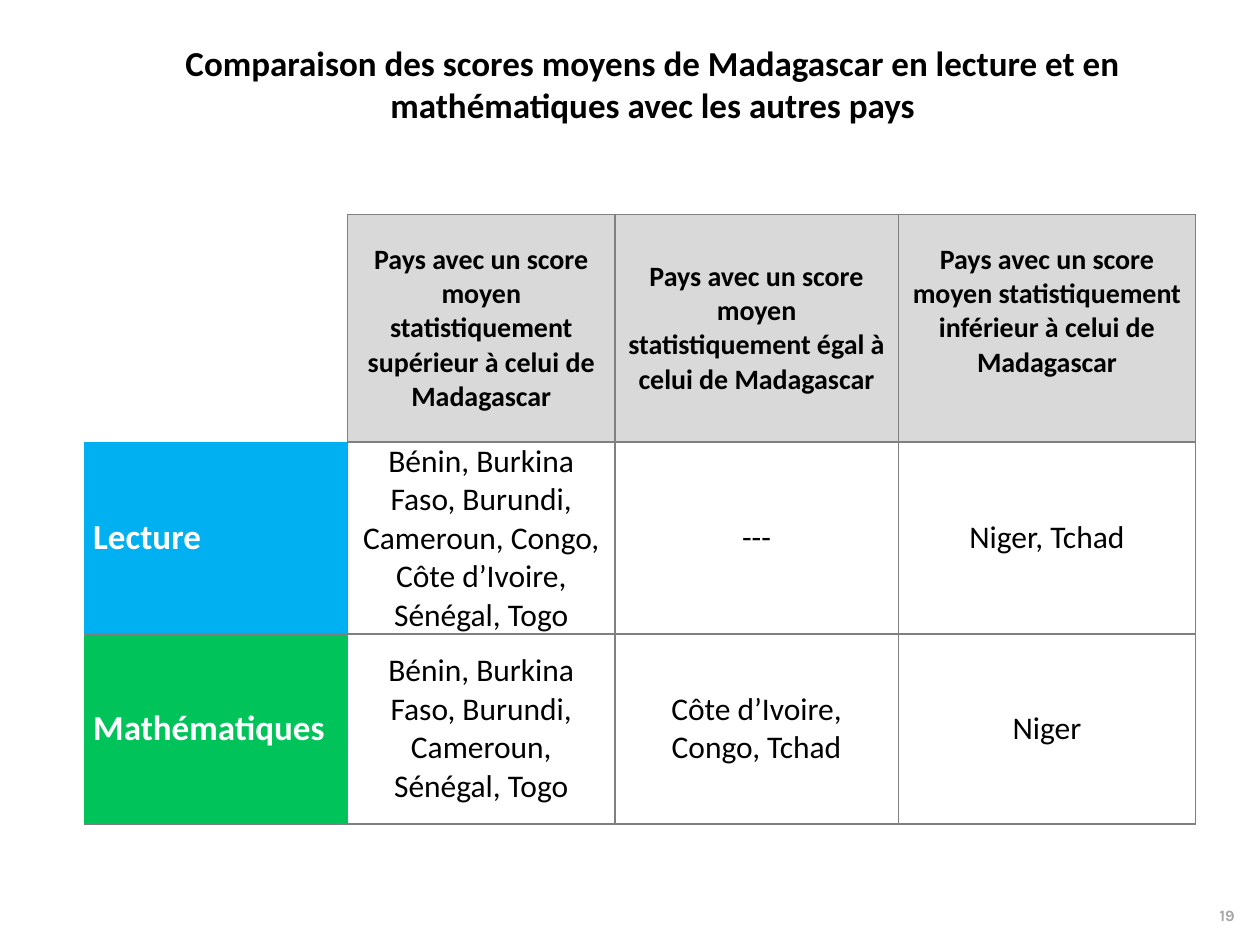
from lxml.etree import SubElement
from pptx import Presentation
from pptx.dml.color import RGBColor
from pptx.enum.text import MSO_ANCHOR, PP_ALIGN
from pptx.oxml import parse_xml
from pptx.oxml.ns import nsdecls, qn
from pptx.util import Inches, Pt

PLAIN_STYLE = "{2D5ABB26-0587-4C30-8999-92F81FD0307C}"
BLACK, WHITE, GRAY = "000000", "FFFFFF", "808080"
HEADER_FILL = "D9D9D9"
COLUMN_SHARES = [20.9, 21.2, 22.5, 23.6]
ROW_SHARES = [24.13, 20.27, 20.13]
HEADERS = [
    "Pays avec un score moyen statistiquement supérieur à celui de Madagascar",
    "Pays avec un score moyen statistiquement égal à celui de Madagascar",
    "Pays avec un score moyen statistiquement inférieur à celui de Madagascar",
]
SUBJECTS = [
    ("Lecture", "00B0F0", [
        "Bénin, Burkina Faso, Burundi, Cameroun, Congo, Côte d’Ivoire, Sénégal, Togo",
        "---",
        "Niger, Tchad",
    ]),
    ("Mathématiques", "00C459", [
        "Bénin, Burkina Faso, Burundi, Cameroun, Sénégal, Togo",
        "Côte d’Ivoire, Congo, Tchad",
        "Niger",
    ]),
]


def color(value):
    return RGBColor.from_string(value)


class SlideBuilder:
    font = "Calibri"

    def __init__(self, presentation):
        self.width = presentation.slide_width
        self.height = presentation.slide_height
        self.slide = presentation.slides.add_slide(presentation.slide_layouts[5])

    def across(self, percent):
        return round(self.width * percent / 100)

    def down(self, percent):
        return round(self.height * percent / 100)

    def box(self, left, top, width, height):
        return self.across(left), self.down(top), self.across(width), self.down(height)

    def add_text(self, frame, text, size, ink=BLACK, bold=True,
                 align=PP_ALIGN.CENTER, font=None):
        paragraph = frame.paragraphs[0]
        paragraph.alignment = align
        run = paragraph.add_run()
        run.text = text
        run.font.name = font or self.font
        run.font.size = Pt(size)
        run.font.bold = bold
        run.font.color.rgb = color(ink)

    def title(self, text, *place):
        shape = self.slide.shapes.title
        shape.left, shape.top, shape.width, shape.height = self.box(*place)
        shape.text_frame.vertical_anchor = MSO_ANCHOR.MIDDLE
        self.add_text(shape.text_frame, text, 20)

    def page_number(self, text, *place):
        frame = self.slide.shapes.add_textbox(*self.box(*place)).text_frame
        frame.word_wrap = True
        frame.vertical_anchor = MSO_ANCHOR.MIDDLE
        self.add_text(frame, text, 9, "A6A6A6", font="Karla")

    def table(self, left, top, columns, rows):
        place = self.box(left, top, sum(columns), sum(rows))
        table = self.slide.shapes.add_table(len(rows), len(columns), *place).table
        table.first_row = table.horz_banding = False
        table._tbl.tblPr.find(qn("a:tableStyleId")).text = PLAIN_STYLE
        for column, share in zip(table.columns, columns):
            column.width = self.across(share)
        for row, share in zip(table.rows, rows):
            row.height = self.down(share)
        return table

    def cell(self, cell, text, size, sides="LRTB", fill=None, **style):
        cell.margin_left = cell.margin_right = Inches(0.07)
        cell.margin_top = cell.margin_bottom = 0
        cell.vertical_anchor = MSO_ANCHOR.MIDDLE
        self.borders(cell, sides)
        if fill:
            cell.fill.solid()
            cell.fill.fore_color.rgb = color(fill)
        if text:
            self.add_text(cell.text_frame, text, size, **style)

    def borders(self, cell, sides):
        properties = cell._tc.get_or_add_tcPr()
        for side in sides:
            line = parse_xml(f'<a:ln{side} {nsdecls("a")} w="{Pt(1)}"/>')
            fill = SubElement(line, qn("a:solidFill"))
            SubElement(fill, qn("a:srgbClr"), val=GRAY)
            properties.append(line)


def main():
    presentation = Presentation()
    presentation.slide_width = Inches(10)
    presentation.slide_height = Inches(7.5)
    builder = SlideBuilder(presentation)
    builder.page_number("19", 95.3, 95.2, 4.2, 3.33)
    builder.title("Comparaison des scores moyens de Madagascar en lecture et en "
                  "mathématiques avec les autres pays", 6.8, 0.53, 90, 16.67)

    table = builder.table(6.7, 22.67, COLUMN_SHARES, ROW_SHARES)
    builder.cell(table.cell(0, 0), "", 16, sides="R")
    for column, header in enumerate(HEADERS, 1):
        builder.cell(table.cell(0, column), header, 16, fill=HEADER_FILL)
    table.cell(0, len(HEADERS)).margin_bottom = Inches(0.27)

    for row, (subject, fill, countries) in enumerate(SUBJECTS, 1):
        builder.cell(table.cell(row, 0), subject, 20, sides="RB" if row == 1 else "RTB",
                     fill=fill, ink=WHITE, align=PP_ALIGN.LEFT)
        for column, names in enumerate(countries, 1):
            builder.cell(table.cell(row, column), names, 18, bold=False)

    presentation.save("out.pptx")


if __name__ == "__main__":
    main()
